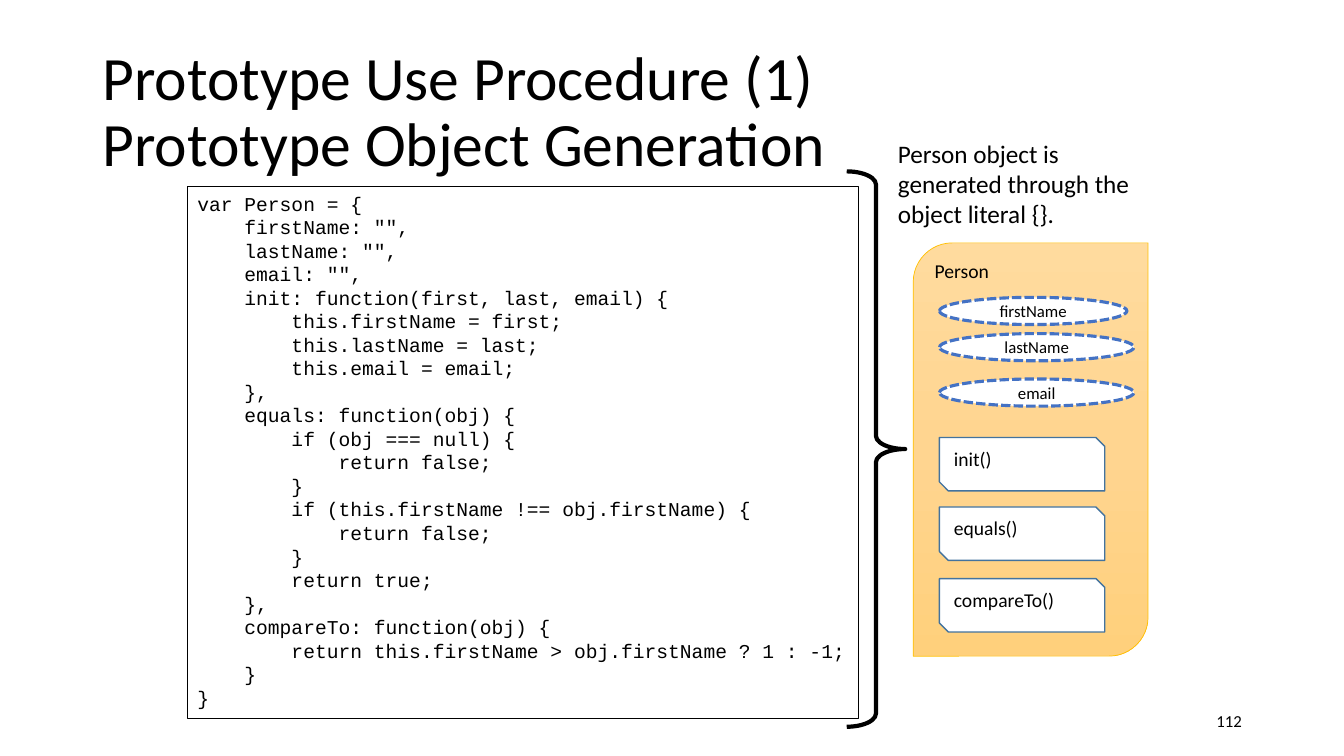
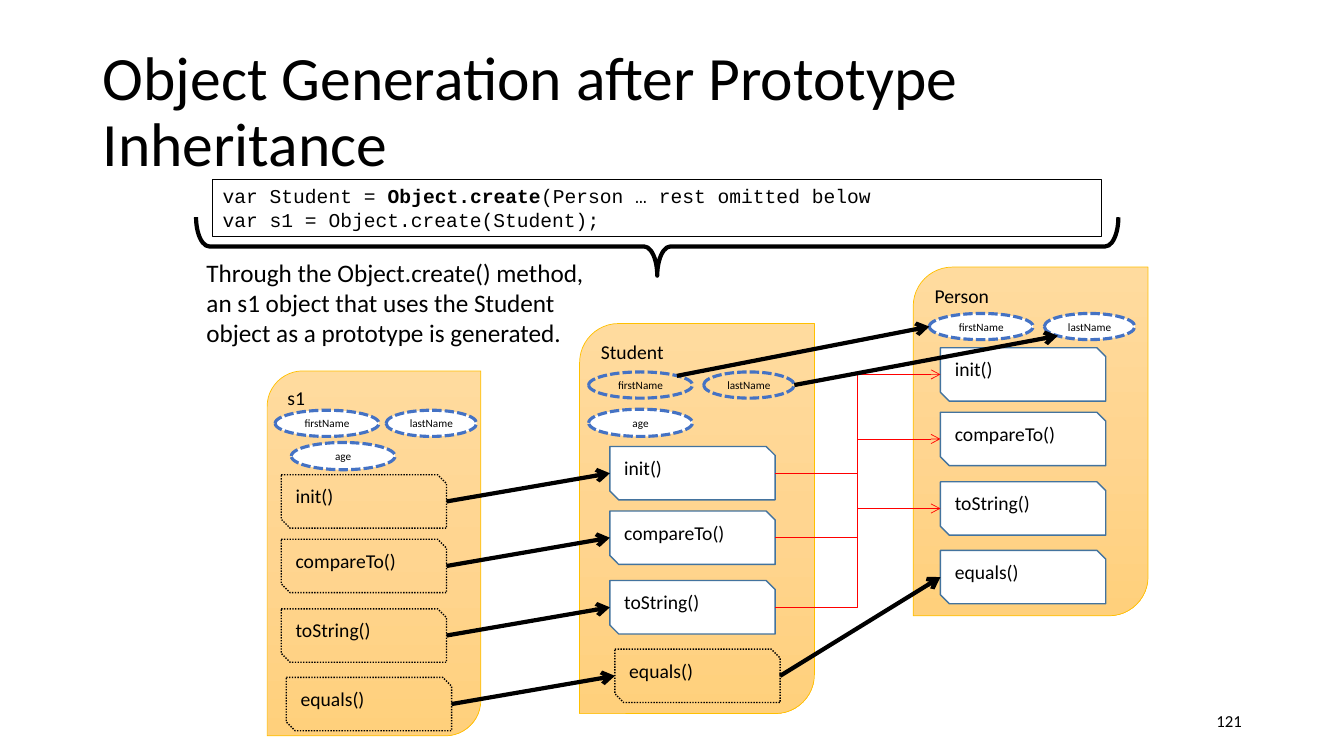
import copy
from dataclasses import dataclass
from typing import Any

import pptx
import pptx.dml.color
import pptx.enum.dml
import pptx.enum.shapes
import pptx.enum.text
import pptx.oxml
import pptx.oxml.ns
import pptx.util

SHAPE = pptx.enum.shapes.MSO_SHAPE
LINK = pptx.enum.shapes.MSO_CONNECTOR
DASH = pptx.enum.dml.MSO_LINE
ALIGN = pptx.enum.text.PP_ALIGN
ANCHOR = pptx.enum.text.MSO_ANCHOR

# Grid: one cell is a tenth of an inch
CELL = 0.1
COLS, ROWS = 133.33, 75

# Colours
BLACK, WHITE, RED = "000000", "FFFFFF", "FF0000"
GOLD, STEEL, BLUE = "FFC000", "43739E", "4472C4"
PANEL_STOPS = ((0, "FFDB9E"), (0.5, "FFD590"), (1, "FFD07C"))

# Text formats
TITLE = {"name": "Calibri", "size": pptx.util.Pt(44)}
NOTE = {"name": "Calibri", "size": pptx.util.Pt(18)}
LABEL = {"name": "Calibri", "size": pptx.util.Pt(14)}
PROP = {"name": "Calibri", "size": pptx.util.Pt(12)}
SMALL_PROP = {"name": "Calibri", "size": pptx.util.Pt(8)}
NUMBER = PROP
CODE = {"name": "Courier New", "size": pptx.util.Pt(14)}
CENTRED = {"alignment": ALIGN.CENTER}

METHOD_W, METHOD_H = 16.4, 5.3
INHERITED_SHIFT = 0.5


@dataclass(frozen=True)
class Box:
    x: float
    y: float
    w: float
    h: float

    def at(self, across: float, down: float) -> tuple[float, float]:
        return self.x + across * self.w, self.y + down * self.h

    def lengths(self) -> list[int]:
        return [grid(n) for n in (self.x, self.y, self.w, self.h)]


@dataclass(frozen=True)
class Prop:
    name: str
    box: Box
    filled: bool = True


@dataclass(frozen=True)
class Panel:
    name: str
    box: Box
    props: tuple[Prop, ...]
    prop_format: dict[str, Any]
    methods: tuple[str, ...]
    method_x: float
    method_y: float
    steps: tuple[float, ...]
    inherited: tuple[str, ...] = ()


def grid(n: float) -> int:
    return pptx.util.Inches(n * CELL)


def rgb(value: str) -> pptx.dml.color.RGBColor:
    return pptx.dml.color.RGBColor.from_string(value)


# Basic parts
def set_line(item: Any, color: str, width: float, dash: Any = None) -> None:
    item.line.color.rgb = rgb(color)
    item.line.width = pptx.util.Pt(width)
    if dash:
        item.line.dash_style = dash


def write(sp: Any, text: str, fmt: dict[str, Any], para: dict[str, Any] | None = None,
          anchor: Any = ANCHOR.TOP, bold: str = "", wrap: bool = True) -> None:
    tf = sp.text_frame
    tf.word_wrap = wrap
    tf.vertical_anchor = anchor
    for i, line in enumerate(text.split("\n")):
        p = tf.add_paragraph() if i else tf.paragraphs[0]
        head, strong, rest = line.partition(bold) if bold else (line, "", "")
        p.text = head
        for part in filter(None, (strong, rest)):
            r = p.add_run()
            r.text = part
            r.font.bold = part == bold
        for key, value in ({"alignment": ALIGN.LEFT} | (para or {})).items():
            setattr(p, key, value)
        for r in p.runs:
            r.font.color.rgb = rgb(BLACK)
            for key, value in fmt.items():
                setattr(r.font, key, value)


def add_text(s: Any, box: Box, text: str, fmt: dict[str, Any], **options: Any) -> Any:
    sp = s.shapes.add_textbox(*box.lengths())
    write(sp, text, fmt, **options)
    return sp


def add_code(s: Any, box: Box, text: str, **options: Any) -> None:
    set_line(add_text(s, box, text, CODE, **options), BLACK, 0.75)


def add_shape(s: Any, kind: Any, box: Box, fill: str | None = None) -> Any:
    sp = s.shapes.add_shape(kind, *box.lengths())
    sp.shadow.inherit = False
    if fill:
        sp.fill.solid()
        sp.fill.fore_color.rgb = rgb(fill)
    else:
        sp.fill.background()
    return sp


def add_brace(s: Any, box: Box, rotation: float = 0) -> None:
    sp = add_shape(s, SHAPE.RIGHT_BRACE, box)
    sp.adjustments[0] = 0.226
    sp.rotation = rotation
    set_line(sp, BLACK, 3)


def add_arrow(s: Any, start: tuple[float, float], end: tuple[float, float],
              kind: Any = LINK.STRAIGHT, color: str = BLACK, width: float = 3) -> None:
    c = s.shapes.add_connector(kind, *(grid(n) for n in start + end))
    set_line(c, color, width)
    tail = pptx.oxml.parse_xml(f'<a:tailEnd {pptx.oxml.ns.nsdecls("a")} type="arrow"/>')
    c.line._get_or_add_ln().append(tail)
    c._element.spPr.append(
        pptx.oxml.parse_xml(f'<a:effectLst {pptx.oxml.ns.nsdecls("a")}/>'))


# Object panels
def fill_panel(sp: Any) -> None:
    sp.fill.gradient()
    sp.fill.gradient_angle = 270
    stops = sp._element.spPr.find(".//" + pptx.oxml.ns.qn("a:gsLst"))
    stops.insert(1, copy.deepcopy(stops[0]))
    for stop, (position, color) in zip(sp.fill.gradient_stops, PANEL_STOPS):
        stop.position = position
        stop.color.rgb = rgb(color)


def add_panel(s: Any, panel: Panel) -> dict[str, Box]:
    """Draw one object and return the boxes of its members."""
    sp = add_shape(s, SHAPE.ROUND_2_DIAG_RECTANGLE, panel.box)
    fill_panel(sp)
    set_line(sp, GOLD, 0.5)
    write(sp, panel.name, LABEL)
    members = {}
    for prop in panel.props:
        sp = add_shape(s, SHAPE.OVAL, prop.box, WHITE if prop.filled else None)
        set_line(sp, BLUE, 2.25, DASH.SQUARE_DOT)
        write(sp, prop.name, panel.prop_format, CENTRED, ANCHOR.MIDDLE)
        members[prop.name] = prop.box
    for name, step in zip(panel.methods, panel.steps):
        inherited = name in panel.inherited
        shift = INHERITED_SHIFT if inherited and name == "equals()" else 0
        box = Box(panel.method_x + shift, panel.method_y + step, METHOD_W, METHOD_H)
        sp = add_shape(s, SHAPE.SNIP_2_DIAG_RECTANGLE, box, None if inherited else WHITE)
        set_line(sp, *((BLACK, 1, DASH.ROUND_DOT) if inherited else (STEEL, 1)))
        write(sp, name, LABEL)
        members[name] = box
    return members


def add_slide(prs: Any, title: str, number: str) -> Any:
    s = prs.slides.add_slide(prs.slide_layouts[6])
    add_text(s, Box(9.2, 4, 115, 14.5), title, TITLE,
             para={"line_spacing": 0.9}, anchor=ANCHOR.MIDDLE)
    add_text(s, Box(94.2, 69.5, 30, 4), number, NUMBER,
             para={"alignment": ALIGN.RIGHT}, anchor=ANCHOR.MIDDLE)
    return s


# Slide contents
PERSON_CODE = """var Person = {
    firstName: "",
    lastName: "",
    email: "",
    init: function(first, last, email) {
        this.firstName = first;
        this.lastName = last;
        this.email = email;
    },
    equals: function(obj) {
        if (obj === null) {
            return false;
        }
        if (this.firstName !== obj.firstName) {
            return false;
        }
        return true;
    },
    compareTo: function(obj) {
        return this.firstName > obj.firstName ? 1 : -1;
    }
}"""
STUDENT_CODE = """var Student = Object.create(Person … rest omitted below
var s1 = Object.create(Student);"""

PERSON_ALONE = Panel(
    "Person", Box(90.6, 24.1, 23.3, 41),
    (Prop("firstName", Box(93.2, 29.5, 18.6, 2.7)),
     Prop("lastName", Box(93.2, 33.1, 19.3, 2.7)),
     Prop("email", Box(93.2, 37.6, 19.3, 2.7))),
    PROP, ("init()", "equals()", "compareTo()"), 93.2, 43.4, (0, 6.9, 14))

METHODS = ("init()", "compareTo()", "toString()", "equals()")
STEPS = (0, 6.4, 13.3, 20.1)
PERSON = Panel(
    "Person", Box(90.6, 26.5, 23.3, 34.6),
    (Prop("firstName", Box(92.2, 31.1, 10.3, 2.6)),
     Prop("lastName", Box(103.6, 31.1, 9, 2.6))),
    SMALL_PROP, METHODS, 93.3, 34.5, STEPS)
STUDENT = Panel(
    "Student", Box(57.5, 32.1, 23.3, 38.7),
    (Prop("firstName", Box(58.4, 36.9, 10.3, 2.6), False),
     Prop("lastName", Box(69.8, 36.9, 9, 2.6), False),
     Prop("age", Box(58.4, 40.6, 10.3, 2.7))),
    SMALL_PROP, METHODS, 60.5, 44.3, STEPS, ("equals()",))
S1 = Panel(
    "s1", Box(26.5, 36.8, 21.2, 36.2),
    (Prop("firstName", Box(27.3, 40.7, 10.3, 2.6)),
     Prop("lastName", Box(38.3, 40.7, 9, 2.6)),
     Prop("age", Box(28.9, 43.9, 10.3, 2.7))),
    SMALL_PROP, METHODS, 27.9, 47.1, STEPS, METHODS)


def build_generation(prs: Any) -> None:
    s = add_slide(prs, "Prototype Use Procedure (1)\vPrototype Object Generation", "112")
    add_code(s, Box(18.6, 18.5, 66.6, 52.8), PERSON_CODE, wrap=False)
    add_brace(s, Box(84, 17, 5.8, 55.1))
    add_panel(s, PERSON_ALONE)
    add_text(s, Box(88.1, 13.2, 26.8, 10.1),
             "Person object is generated through the object literal {}.", NOTE)


def build_inheritance(prs: Any) -> None:
    s = add_slide(prs, "Object Generation after Prototype Inheritance", "121")
    add_code(s, Box(21.1, 17.8, 88.2, 5.7), STUDENT_CODE, bold="Object.create")
    # The second line of code stays regular
    for r in s.shapes[-1].text_frame.paragraphs[1].runs:
        r.font.bold = False
    add_brace(s, Box(62.3, -21.3, 5.8, 91.5), 90)
    add_text(s, Box(19.5, 25, 41.6, 10.1),
             "Through the Object.create() method, an s1 object that uses the Student "
             "object as a prototype is generated.", NOTE)
    person, student, s1 = (add_panel(s, panel) for panel in (PERSON, STUDENT, S1))
    # Method links: inherited ones are thick, overridden ones are red elbows
    for name in METHODS:
        style = {} if name in STUDENT.inherited else {
            "kind": LINK.ELBOW, "color": RED, "width": 0.5}
        add_arrow(s, student[name].at(1, 0.5), person[name].at(0, 0.5), **style)
        add_arrow(s, s1[name].at(1, 0.5), student[name].at(0, 0.5))
    # Property links
    add_arrow(s, student["lastName"].at(1, 0.5), person["lastName"].at(0.15, 0.85))
    add_arrow(s, student["firstName"].at(0.85, 0.15), person["firstName"].at(0, 0.5))


def main() -> None:
    prs = pptx.Presentation()
    prs.slide_width, prs.slide_height = grid(COLS), grid(ROWS)
    build_generation(prs)
    build_inheritance(prs)
    prs.save("out.pptx")


if __name__ == "__main__":
    main()
